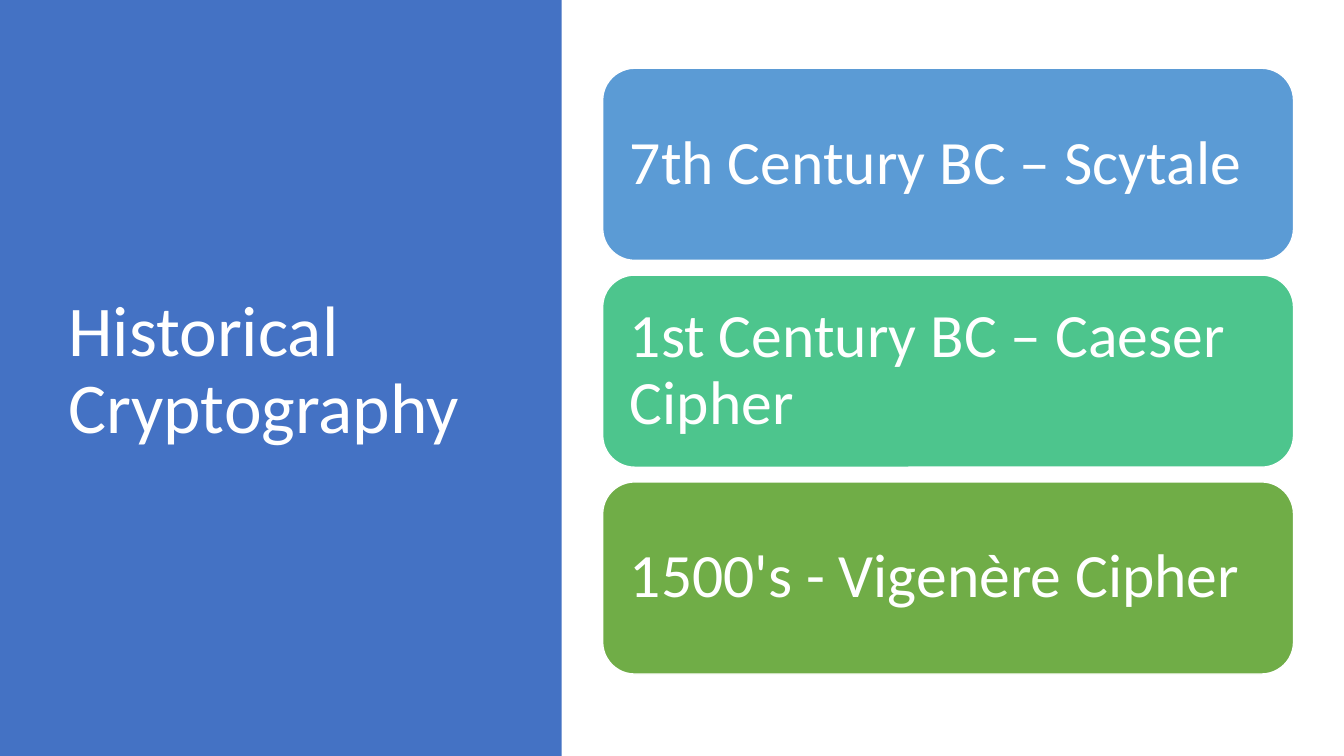
from pptx import Presentation
from pptx.dml.color import RGBColor
from pptx.enum.shapes import MSO_SHAPE
from pptx.enum.text import MSO_ANCHOR, PP_ALIGN
from pptx.util import Pt

RECT = MSO_SHAPE.RECTANGLE
ROUNDED = MSO_SHAPE.ROUNDED_RECTANGLE
MIDDLE = MSO_ANCHOR.MIDDLE
LEFT = PP_ALIGN.LEFT

EMU_PER_PX = 9525
FONT = "Calibri"
WHITE = "FFFFFF"
PANEL_BLUE = "4472C4"

CARD_LEFT, CARD_TOP = 574, 65
CARD_WIDTH, CARD_HEIGHT = 658, 183
CARD_PITCH = 197
CARDS = [
    ("7th Century BC – Scytale", "5B9BD5"),
    ("1st Century BC – Caeser Cipher", "4DC58D"),
    ("1500's - Vigenère Cipher", "70AD47"),
]


def px(n):
    return n * EMU_PER_PX


def color(hex_string):
    return RGBColor.from_string(hex_string)


def add_block(slide, preset, left, top, width, height, fill):
    sp = slide.shapes.add_shape(preset, px(left), px(top), px(width), px(height))
    sp.shadow.inherit = False
    sp.fill.solid()
    sp.fill.fore_color.rgb = color(fill)
    sp.line.fill.background()
    return sp


def write(sp, text, size, inset_x, inset_y):
    """Set white, left-aligned text, centred vertically in the shape."""
    tf = sp.text_frame
    tf.word_wrap = True
    tf.vertical_anchor = MIDDLE
    tf.margin_left = tf.margin_right = px(inset_x)
    tf.margin_top = tf.margin_bottom = px(inset_y)
    p = tf.paragraphs[0]
    p.text = text
    p.alignment = LEFT
    p.line_spacing = 0.9
    p.font.name = FONT
    p.font.size = Pt(size)
    p.font.color.rgb = color(WHITE)


def add_title(slide, text):
    sp = slide.shapes.add_textbox(px(55), px(65), px(399), px(578))
    write(sp, text, 51, 10, 5)


def add_card(slide, row, text, fill):
    sp = add_block(slide, ROUNDED, CARD_LEFT, CARD_TOP + row * CARD_PITCH,
                   CARD_WIDTH, CARD_HEIGHT, fill)
    sp.line.color.rgb = color(WHITE)
    sp.line.width = Pt(1)
    write(sp, text, 44, 17, 17)


def main():
    prs = Presentation()
    prs.slide_width, prs.slide_height = px(1280), px(720)
    slide = prs.slides.add_slide(prs.slide_layouts[6])
    add_block(slide, RECT, 0, 0, 535, 720, PANEL_BLUE)
    add_title(slide, "Historical Cryptography")
    for row, (text, fill) in enumerate(CARDS):
        add_card(slide, row, text, fill)
    prs.save("out.pptx")


if __name__ == "__main__":
    main()
